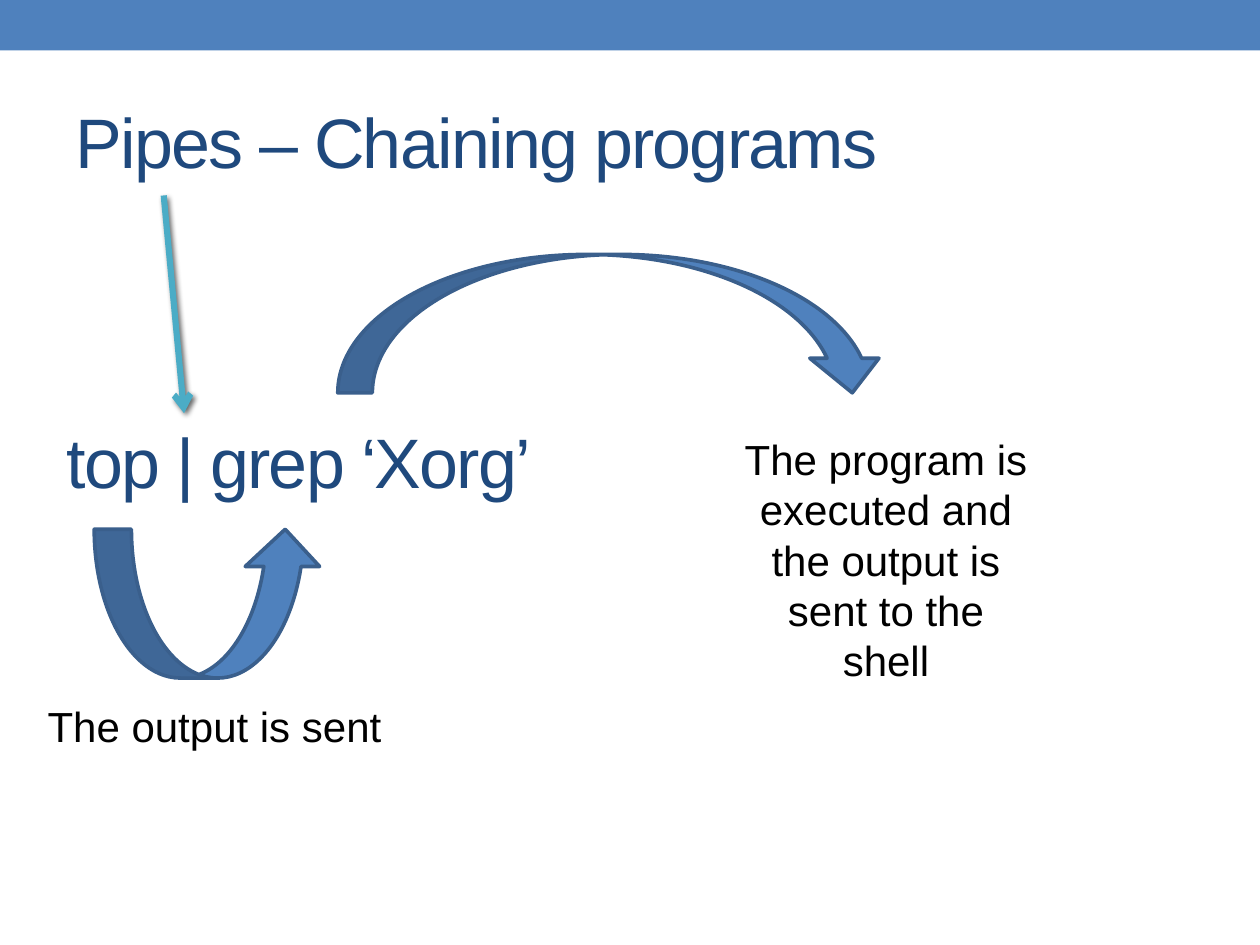
import lxml.etree
import pptx
import pptx.dml.color
import pptx.enum.shapes
import pptx.enum.text
import pptx.oxml
import pptx.oxml.ns
import pptx.util

Cm, Pt = pptx.util.Cm, pptx.util.Pt
RGBColor = pptx.dml.color.RGBColor
MSO_SHAPE = pptx.enum.shapes.MSO_SHAPE
MSO_ANCHOR = pptx.enum.text.MSO_ANCHOR
PP_ALIGN = pptx.enum.text.PP_ALIGN
qn = pptx.oxml.ns.qn

BLUE = RGBColor(0x4F, 0x81, 0xBD)
OUTLINE = RGBColor(0x3A, 0x5F, 0x8C)
NAVY = RGBColor(0x1F, 0x49, 0x7D)
TEAL = RGBColor(0x4B, 0xAC, 0xC6)
BLACK = RGBColor(0, 0, 0)

# Soft shadow, 3 pt blur, 2 pt away at 45 degrees
SHADOW = (
    '<a:effectLst xmlns:a="http://schemas.openxmlformats.org/drawingml/2006/main">'
    '<a:outerShdw blurRad="38100" dist="25400" dir="2700000" rotWithShape="0">'
    '<a:srgbClr val="000000"><a:alpha val="60000"/></a:srgbClr>'
    '</a:outerShdw></a:effectLst>'
)


def add_text(slide, box, text, size, color, align=PP_ALIGN.LEFT):
    sp = slide.shapes.add_textbox(*map(Cm, box))
    tf = sp.text_frame
    tf.word_wrap = True
    p = tf.paragraphs[0]
    p.text = text
    p.alignment = align
    p.font.name = "Arial"
    p.font.size = Pt(size)
    p.font.color.rgb = color
    return tf


def add_heading(slide, box, text):
    """Large navy text, centred vertically and slightly tightened."""
    tf = add_text(slide, box, text, 40, NAVY)
    tf.vertical_anchor = MSO_ANCHOR.MIDDLE
    for r in tf.paragraphs[0].runs:
        r.font._element.set("spc", "-100")


def add_block(slide, preset, box):
    sp = slide.shapes.add_shape(preset, *map(Cm, box))
    sp.shadow.inherit = False
    sp.fill.solid()
    sp.fill.fore_color.rgb = BLUE
    return sp


def add_banner(slide, box):
    add_block(slide, MSO_SHAPE.RECTANGLE, box).line.fill.background()


def add_curved_arrow(slide, preset, box):
    line = add_block(slide, preset, box).line
    line.color.rgb = OUTLINE
    line.width = Pt(2.08)


def add_pointer(slide, start, end):
    """Straight teal arrow with a soft shadow."""
    cxn = slide.shapes.add_connector(
        pptx.enum.shapes.MSO_CONNECTOR.STRAIGHT, *map(Cm, start + end))
    cxn.line.color.rgb = TEAL
    cxn.line.width = Pt(3.5)
    lxml.etree.SubElement(cxn.line._get_or_add_ln(), qn("a:tailEnd"), type="arrow")
    cxn._element.spPr.append(pptx.oxml.parse_xml(SHADOW))


def add_pipe_diagram(slide, box):
    """The command, its two data flows and their captions."""
    x, y, w, h = box
    add_heading(slide, (x + 0.38, y + 2.79, 11.43, 2.74), "top | grep ‘Xorg’")
    add_curved_arrow(slide, MSO_SHAPE.CURVED_UP_ARROW, (x + 1.19, y + 5.54, 4.6, 3))
    add_text(slide, (x, y + 8.87, 8.41, 1.27), "The output is sent", 24, BLACK)
    add_curved_arrow(slide, MSO_SHAPE.CURVED_DOWN_ARROW, (x + 6.1, y, 11.07, 2.79))
    add_text(slide, (x + w - 6.4, y + 3.48, 6.4, h - 4.75),
             "The program is executed and the output is sent to the shell",
             24, BLACK, PP_ALIGN.CENTER)


def main():
    prs = pptx.Presentation()
    prs.slide_width, prs.slide_height = Cm(25.4), Cm(19.05)
    slide = prs.slides.add_slide(prs.slide_layouts[6])
    add_banner(slide, (0, 0, 25.4, 1.02))
    add_heading(slide, (1.27, 1.47, 22.86, 2.74), "Pipes – Chaining programs")
    add_pipe_diagram(slide, (0.71, 5.13, 20.35, 10.14))
    add_pointer(slide, (3.3, 3.94), (3.71, 8.33))
    prs.save("out.pptx")


if __name__ == "__main__":
    main()
